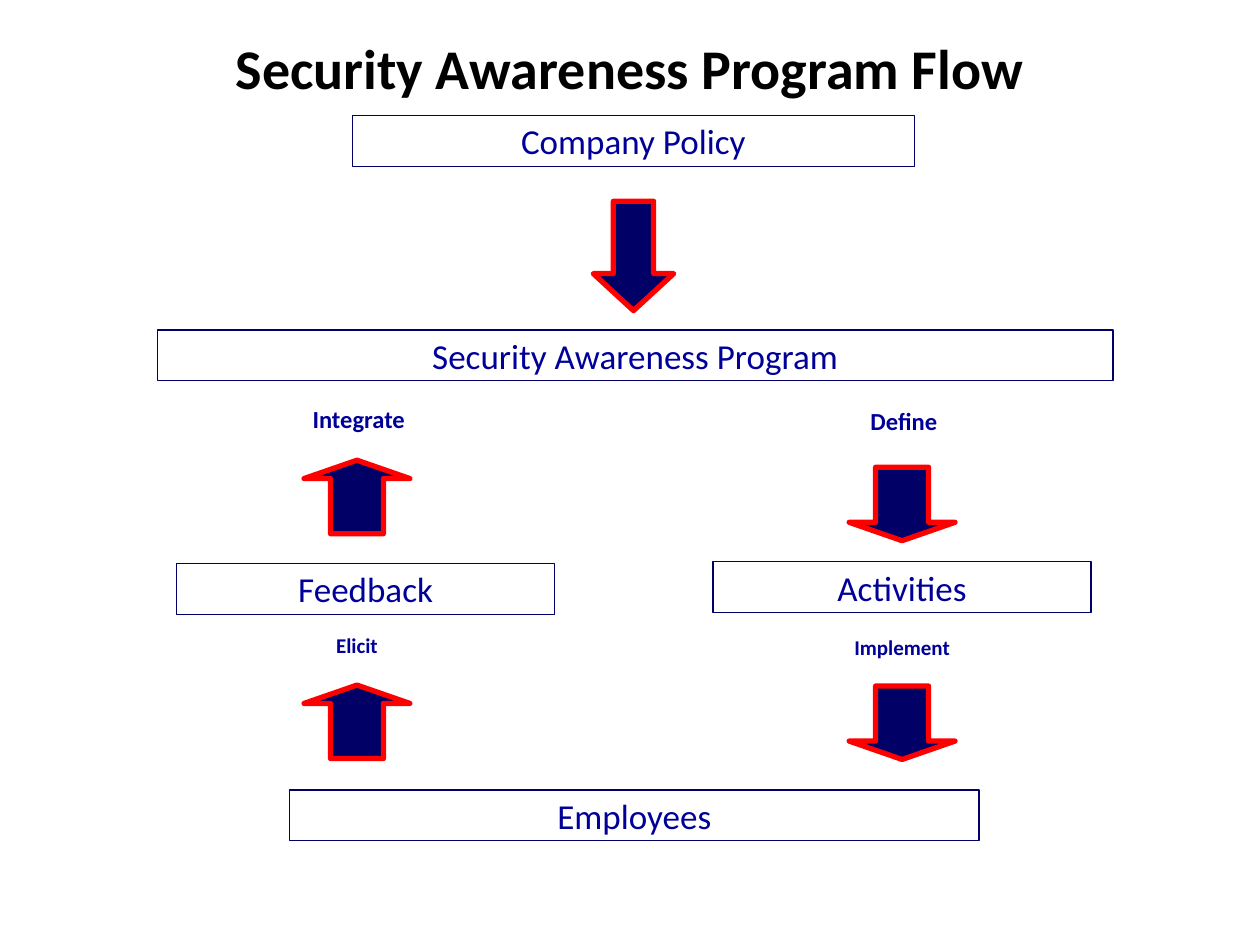
from dataclasses import dataclass

from pptx import Presentation
from pptx.dml.color import RGBColor
from pptx.enum.shapes import MSO_SHAPE as Shape
from pptx.enum.text import MSO_ANCHOR as Anchor, MSO_AUTO_SIZE as AutoSize, PP_ALIGN as Align
from pptx.slide import Slide
from pptx.util import Pt


def color(value):
    return RGBColor.from_string(value)


@dataclass
class FlowSlide:
    """Hold the style of the flow chart and the slide it is drawn on."""
    slide: Slide
    font: str = "Calibri"
    text_color: str = "000099"
    dark: str = "000066"
    accent: str = "FF0000"

    def set_text(self, shape, text, size, bold=False, text_color=None):
        frame = shape.text_frame
        frame.text = text
        frame.word_wrap = True
        frame.auto_size = AutoSize.NONE
        frame.vertical_anchor = Anchor.MIDDLE
        frame.margin_left = frame.margin_right = frame.margin_top = frame.margin_bottom = 0
        paragraph = frame.paragraphs[0]
        paragraph.alignment = Align.CENTER
        font = paragraph.font
        font.name, font.size, font.bold = self.font, Pt(size), bold
        font.color.rgb = color(text_color or self.text_color)

    def title(self, text, left, top, width, height):
        shape = self.slide.shapes.title
        shape.left, shape.top, shape.width, shape.height = map(Pt, (left, top, width, height))
        self.set_text(shape, text, 32, True, "000000")

    def box(self, text, left, top, width, height=29):
        shape = self.slide.shapes.add_shape(Shape.RECTANGLE, *map(Pt, (left, top, width, height)))
        shape.shadow.inherit = False
        shape.fill.background()
        shape.line.color.rgb = color(self.dark)
        shape.line.width = Pt(0.75)
        self.set_text(shape, text, 20)

    def label(self, text, center, middle, size, width=130, height=24):
        place = (center - width / 2, middle - height / 2, width, height)
        self.set_text(self.slide.shapes.add_textbox(*map(Pt, place)), text, size, True)

    def arrow(self, kind, center, top, width=60.5, height=42, head=0.25):
        place = (center - width / 2, top, width, height)
        shape = self.slide.shapes.add_shape(kind, *map(Pt, place))
        shape.shadow.inherit = False
        shape.adjustments[0], shape.adjustments[1] = 0.5, head
        shape.fill.solid()
        shape.fill.fore_color.rgb = color(self.dark)
        shape.line.color.rgb = color(self.accent)
        shape.line.width = Pt(3)


def main():
    presentation = Presentation()
    presentation.slide_width, presentation.slide_height = Pt(720), Pt(540)
    flow = FlowSlide(presentation.slides.add_slide(presentation.slide_layouts[5]))
    flow.title("Security Awareness Program Flow", 24, -6.5, 672, 90)

    flow.arrow(Shape.DOWN_ARROW, 362, 115, 46, 62.5, 0.46)
    for kind, center, tops in (
        (Shape.DOWN_ARROW, 515.5, (267, 392)),
        (Shape.UP_ARROW, 204, (263, 391.5)),
    ):
        for top in tops:
            flow.arrow(kind, center, top)

    for text, center, middle, size in (
        ("Define", 516.5, 240.5, 14),
        ("Implement", 515.5, 369.5, 12),
        ("Elicit", 204, 368.5, 12),
        ("Integrate", 205, 239.5, 14),
    ):
        flow.label(text, center, middle, size)

    for text, left, top, width in (
        ("Company Policy", 201.5, 66, 321),
        ("Security Awareness Program", 90, 188.5, 546),
        ("Feedback", 101, 322, 216),
        ("Activities", 407.5, 321, 216),
        ("Employees", 165.5, 451.5, 394),
    ):
        flow.box(text, left, top, width)

    presentation.save("out.pptx")


if __name__ == "__main__":
    main()
